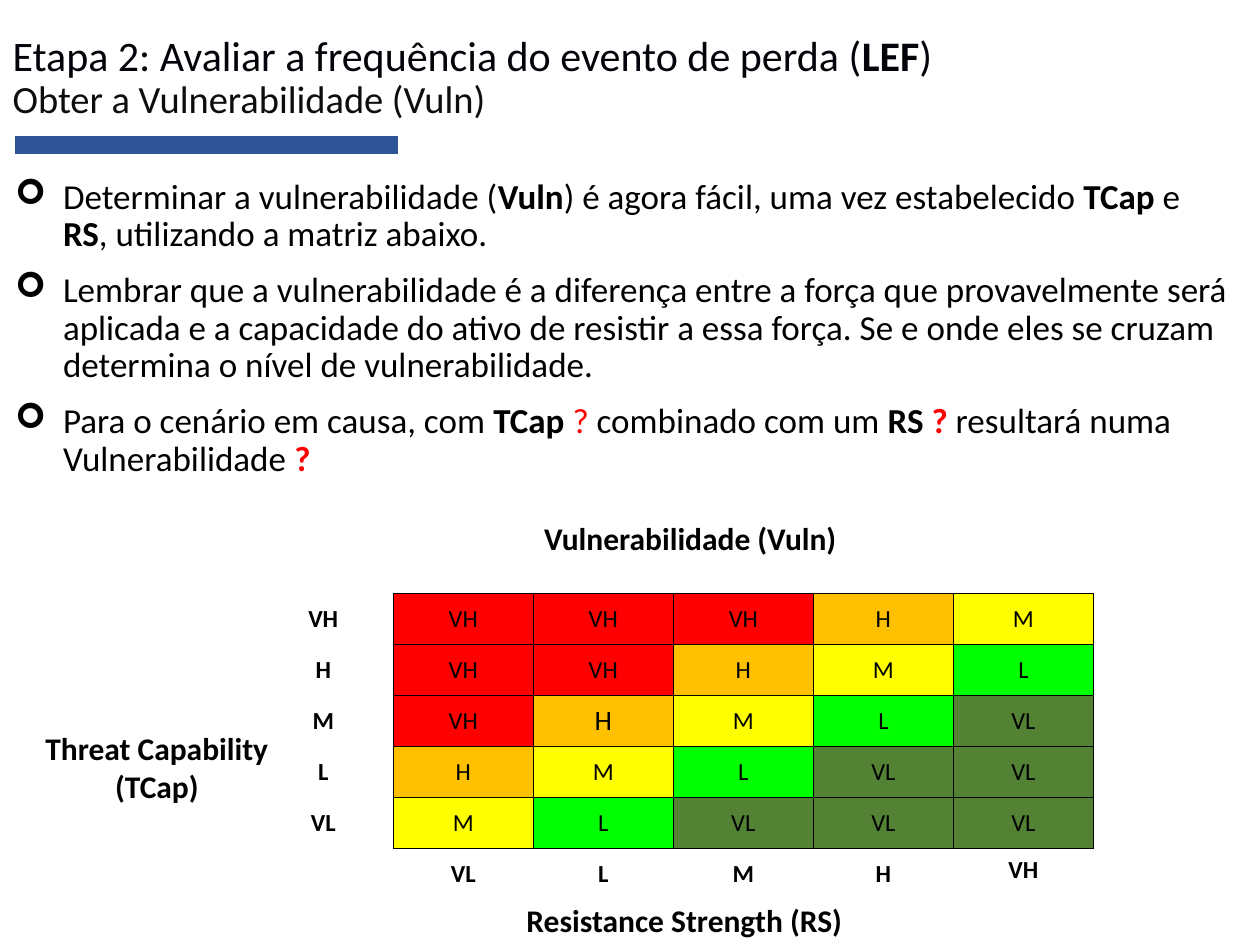
from lxml import etree
from pptx import Presentation
from pptx import util as u
from pptx.dml.color import RGBColor
from pptx.enum import shapes, text
from pptx.oxml.ns import qn

COLORS = {"ink": "000000", "title": "050309", "subtitle": "0D0D0D",
          "rule": "2F5597", "mark": "FF0000"}
LEVEL_COLORS = {"VH": "FF0000", "H": "FFC000", "M": "FFFF00",
                "L": "00FF00", "VL": "548235"}
LEVELS = list(LEVEL_COLORS)
BOLD = {"bold": True}
RED = {"color": "mark"}

# Content: each paragraph is a list of (words, format)
TITLE = [("Etapa 2: Avaliar a frequência do evento de perda (", {}), ("LEF", BOLD), (")", {})]
SUBTITLE = "Obter a Vulnerabilidade (Vuln)"
BULLETS = [
    [("Determinar a vulnerabilidade (", {}), ("Vuln", BOLD),
     (") é agora fácil, uma vez estabelecido ", {}), ("TCap", BOLD), (" e ", {}),
     ("RS", BOLD), (", utilizando a matriz abaixo.", {})],
    [("Lembrar que a vulnerabilidade é a diferença entre a força que provavelmente "
      "será aplicada e a capacidade do ativo de resistir a essa força. Se e onde eles "
      "se cruzam determina o nível de vulnerabilidade.", {})],
    [("Para o cenário em causa, com ", {}), ("TCap ", BOLD), ("? ", RED),
     ("combinado com um ", {}), ("RS ", BOLD), ("?", BOLD | RED),
     (" resultará numa Vulnerabilidade ", {}), ("?", BOLD | RED)],
]
LABELS = [
    (["Resistance Strength (RS)"], (4.08, 7.1, 2.88, 0.4)),
    (["Threat Capability", "(TCap)"], (0.22, 5.74, 2.05, 0.71)),
    (["Vulnerabilidade (Vuln)"], (4.22, 4.07, 2.61, 0.4)),
]
TABLE_AREA = (2.01, 4.71, 6.67, 2.43)


def add_span(para, words, size=20, bold=False, color="ink"):
    span = para.add_run()
    span.text = words
    span.font.name = "Calibri"
    span.font.size = u.Pt(size)
    span.font.bold = bold
    span.font.color.rgb = RGBColor.from_string(COLORS[color])


def place(shape, area):
    shape.left, shape.top, shape.width, shape.height = map(u.Inches, area)


def set_bullet(para, char):
    props = para._p.get_or_add_pPr()
    props.set("marL", str(u.Inches(0.4)))
    props.set("indent", str(u.Inches(-0.38)))
    etree.SubElement(props, qn("a:buFont"), typeface="Wingdings")
    etree.SubElement(props, qn("a:buChar"), char=char)


def set_borders(cell, sides):
    """Black one-point lines on the sides given, none on the others."""
    props = cell._tc.get_or_add_tcPr()
    for position, side in enumerate("LRTB"):
        line = etree.Element(qn("a:ln" + side), w=str(u.Pt(1)))
        if side in sides:
            fill = etree.SubElement(line, qn("a:solidFill"))
            etree.SubElement(fill, qn("a:srgbClr"), val=COLORS["ink"])
        else:
            etree.SubElement(line, qn("a:noFill"))
        props.insert(position, line)


def fill_cell(cell, words, sides, fill=None, size=14, bold=False):
    if fill:
        cell.fill.solid()
        cell.fill.fore_color.rgb = RGBColor.from_string(fill)
    else:
        cell.fill.background()
    set_borders(cell, sides)
    cell.vertical_anchor = text.MSO_ANCHOR.MIDDLE
    para = cell.text_frame.paragraphs[0]
    para.alignment = text.PP_ALIGN.CENTER
    if words:
        add_span(para, words, size=size, bold=bold)


deck = Presentation()
deck.slide_width, deck.slide_height = u.Inches(10), u.Inches(7.5)
page = deck.slides.add_slide(deck.slide_layouts[1])
title, body = page.placeholders

# Rule under the title
rule = page.shapes.add_connector(shapes.MSO_CONNECTOR.STRAIGHT, u.Inches(0.12),
                                 u.Inches(1.15), u.Inches(3.16), u.Inches(1.15))
rule.line.color.rgb = RGBColor.from_string(COLORS["rule"])
rule.line.width = u.Pt(10)
etree.SubElement(rule._element.spPr, qn("a:effectLst"))

# Title
place(title, (0, 0.02, 10, 1.21))
title.text_frame.auto_size = text.MSO_AUTO_SIZE.NONE
title.text_frame.vertical_anchor = text.MSO_ANCHOR.MIDDLE
para = title.text_frame.paragraphs[0]
para.alignment = text.PP_ALIGN.LEFT
para.line_spacing = 0.9
for words, style in TITLE:
    add_span(para, words, **{"size": 24, "color": "title"} | style)
para.add_line_break()
add_span(para, SUBTITLE, size=22, color="subtitle")

# Bullets
place(body, (0, 1.37, 9.88, 4.76))
frame = body.text_frame
frame.auto_size = text.MSO_AUTO_SIZE.NONE
for index, spans in enumerate(BULLETS):
    para = frame.add_paragraph() if index else frame.paragraphs[0]
    set_bullet(para, "➢")
    para.line_spacing = 0.9
    para.space_before = u.Pt(10 if index else 0)
    for words, style in spans:
        add_span(para, words, **style)

# Vulnerability matrix: each step right or down lowers the level, within the scale
count = len(LEVELS)
table = page.shapes.add_table(count + 1, count + 1, *map(u.Inches, TABLE_AREA)).table
table.first_row = table.horz_banding = False
for row, level in enumerate(LEVELS):
    fill_cell(table.cell(row, 0), level, "R", bold=True)
    for column in range(count):
        result = LEVELS[min(max(row + column - 2, 0), count - 1)]
        fill_cell(table.cell(row, column + 1), result, "LRTB", fill=LEVEL_COLORS[result],
                  size=16 if (row, column) == (2, 1) else 14)
for column, level in enumerate([""] + LEVELS[::-1]):
    fill_cell(table.cell(count, column), level, "T" if level else "", bold=True)
table.cell(count, count).vertical_anchor = text.MSO_ANCHOR.TOP

# Matrix labels
for lines, area in LABELS:
    box = page.shapes.add_textbox(*map(u.Inches, area))
    box.text_frame.word_wrap = False
    box.text_frame.auto_size = text.MSO_AUTO_SIZE.SHAPE_TO_FIT_TEXT
    para = box.text_frame.paragraphs[0]
    para.alignment = text.PP_ALIGN.CENTER if len(lines) > 1 else text.PP_ALIGN.LEFT
    for index, words in enumerate(lines):
        if index:
            para.add_line_break()
        add_span(para, words, size=18, bold=True)

deck.save("out.pptx")
